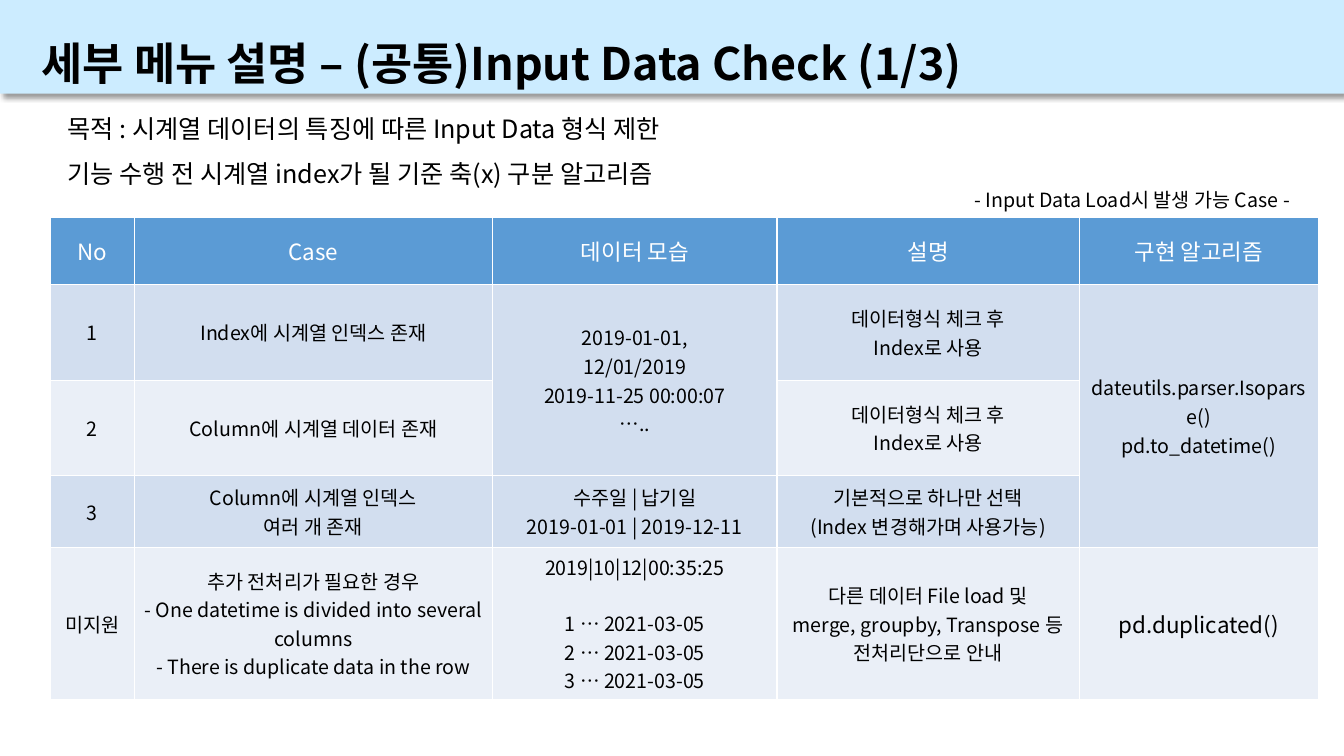
from collections import namedtuple
from lxml.etree import SubElement
from pptx import Presentation
from pptx.dml.color import RGBColor
from pptx.enum.shapes import MSO_SHAPE as Shape
from pptx.enum.text import MSO_ANCHOR as Anchor, MSO_AUTO_SIZE as AutoSize, PP_ALIGN as Align
from pptx.oxml.ns import qn
from pptx.util import Cm, Pt

BLACK = RGBColor(0, 0, 0)
WHITE = RGBColor(255, 255, 255)
SKY = RGBColor(0xCC, 0xEC, 0xFF)
BLUE = RGBColor(0x5B, 0x9B, 0xD5)
BANDS = RGBColor(0xD2, 0xDE, 0xEF), RGBColor(0xEA, 0xEF, 0xF7)
FONT = "Noto Sans CJK KR"
Box = namedtuple("Box", "left top width height")

TITLE = "세부 메뉴 설명 – (공통)Input Data Check (1/3)"
PURPOSE = [
    "목적 : 시계열 데이터의 특징에 따른 Input Data 형식 제한",
    "기능 수행 전 시계열 index가 될 기준 축(x) 구분 알고리즘",
]
CAPTION = "- Input Data Load시 발생 가능 Case -"
USE_AS_INDEX = "데이터형식 체크 후\nIndex로 사용"
CASES = [
    ["No", "Case", "데이터 모습", "설명", "구현 알고리즘"],
    ["1", "Index에 시계열 인덱스 존재",
     "2019-01-01,\n12/01/2019\n2019-11-25 00:00:07\n…..",
     USE_AS_INDEX, "dateutils.parser.Isoparse()\npd.to_datetime()"],
    ["2", "Column에 시계열 데이터 존재", "", USE_AS_INDEX, ""],
    ["3", "Column에 시계열 인덱스\n여러 개 존재",
     "수주일 | 납기일\n2019-01-01 | 2019-12-11",
     "기본적으로 하나만 선택\n(Index 변경해가며 사용가능)", ""],
    ["미지원",
     "추가 전처리가 필요한 경우\n- One datetime is divided into several columns\n"
     "- There is duplicate data in the row",
     "2019|10|12|00:35:25\n1 … 2021-03-05\n2 … 2021-03-05\n3 … 2021-03-05",
     "다른 데이터 File load 및\nmerge, groupby, Transpose 등 전처리단으로 안내",
     "pd.duplicated()"],
]
COLUMN_WIDTHS = [2.11, 9.04, 7.16, 7.62, 6.02]
ROW_HEIGHTS = [1.68, 2.41, 2.41, 1.8, 3.18]
HEADER, LAST = 0, len(CASES) - 1
DATA, ALGORITHM = 2, 4


def style(para, size, color=BLACK, bold=False, align=Align.LEFT):
    para.alignment = align
    font = para.font
    font.size, font.bold, font.name = Pt(size), bold, FONT
    font.color.rgb = color
    properties = para._p.pPr.find(qn("a:defRPr"))
    SubElement(properties, qn("a:ea"), typeface=FONT)


def place(shape, box):
    shape.left, shape.top, shape.width, shape.height = box


def add_shadow(shape):
    effects = SubElement(shape._element.spPr, qn("a:effectLst"))
    shadow = SubElement(effects, qn("a:outerShdw"), blurRad=str(Pt(4)), dist=str(Pt(3)),
                        dir=str(45 * 60000), algn="tl", rotWithShape="0")
    color = SubElement(shadow, qn("a:srgbClr"), val=str(BLACK))
    SubElement(color, qn("a:alpha"), val="40000")


def draw_header(page, box):
    band = page.shapes.add_shape(Shape.RECTANGLE, *box)
    band.fill.solid()
    band.fill.fore_color.rgb = SKY
    band.line.fill.background()
    add_shadow(band)
    page.shapes._spTree.insert(2, band._element)

    title = page.shapes.title
    place(title, Box(box.left + Cm(0.79), box.top + Cm(0.1), Cm(31.62), Cm(2.44)))
    frame = title.text_frame
    frame.text = TITLE
    frame.auto_size, frame.vertical_anchor = AutoSize.NONE, Anchor.TOP
    para = frame.paragraphs[0]
    para.line_spacing = 1.5
    style(para, 32, bold=True)


def draw_purpose(page, box):
    body = page.placeholders[1]
    place(body, box)
    frame = body.text_frame
    frame.text = "\n".join(PURPOSE)
    frame.auto_size, frame.vertical_anchor = AutoSize.NONE, Anchor.TOP
    for para in frame.paragraphs:
        para.line_spacing, para.space_before = 1.5, Pt(0)
        properties = para._p.get_or_add_pPr()
        properties.set("marL", "0")
        properties.set("indent", "0")
        SubElement(properties, qn("a:buNone"))
        style(para, 18)


def draw_caption(page, box):
    frame = page.shapes.add_textbox(*box).text_frame
    frame.word_wrap = True
    frame.text = CAPTION
    style(frame.paragraphs[0], 14)


def fill_cell(cell, text, size, color, background):
    cell.fill.solid()
    cell.fill.fore_color.rgb = background
    cell.vertical_anchor = Anchor.MIDDLE
    cell.text = text
    for para in cell.text_frame.paragraphs:
        style(para, size, color, align=Align.CENTER)


def draw_cases(page, box):
    table = page.shapes.add_table(len(CASES), len(COLUMN_WIDTHS), *box).table
    for column, width in zip(table.columns, COLUMN_WIDTHS):
        column.width = Cm(width)
    for row, height in zip(table.rows, ROW_HEIGHTS):
        row.height = Cm(height)
    for row, texts in enumerate(CASES):
        for column, text in enumerate(texts):
            large = row == HEADER or (row, column) == (LAST, ALGORITHM)
            fill_cell(table.cell(row, column), text, 16 if large else 14,
                      WHITE if row == HEADER else BLACK,
                      BLUE if row == HEADER else BANDS[(row - 1) % 2])
    table.cell(1, DATA).merge(table.cell(2, DATA))
    table.cell(1, ALGORITHM).merge(table.cell(3, ALGORITHM))
    table.cell(LAST, DATA).text_frame.paragraphs[1].space_before = Pt(20)


def main():
    deck = Presentation()
    deck.slide_width, deck.slide_height = Cm(33.87), Cm(19.05)
    page = deck.slides.add_slide(deck.slide_layouts[1])
    draw_header(page, Box(Cm(0), Cm(0), deck.slide_width, Cm(2.36)))
    draw_cases(page, Box(Cm(1.27), Cm(5.49), Cm(31.95), Cm(11.48)))
    draw_purpose(page, Box(Cm(1.45), Cm(2.34), Cm(30.96), Cm(3.58)))
    draw_caption(page, Box(Cm(24.31), Cm(4.62), Cm(9.3), Cm(0.86)))
    deck.save("out.pptx")


if __name__ == "__main__":
    main()
